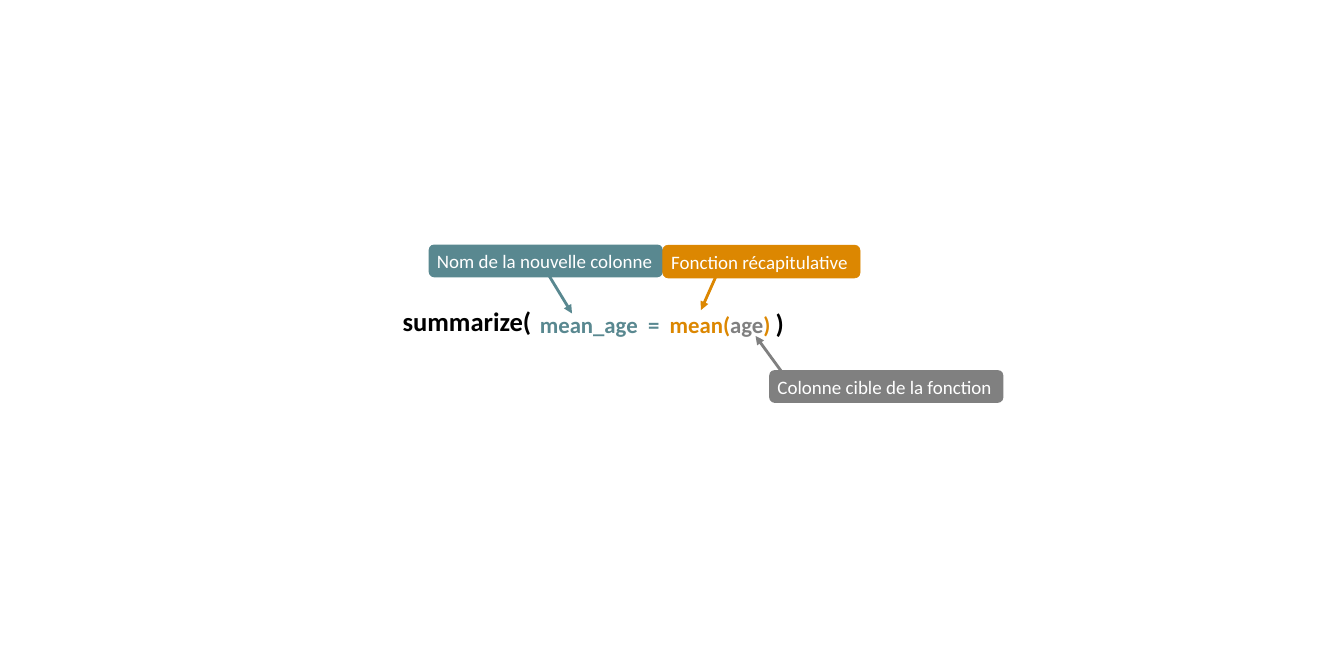
from lxml import etree
from pptx import Presentation
from pptx.dml.color import RGBColor
from pptx.enum.shapes import MSO_CONNECTOR, MSO_SHAPE
from pptx.enum.text import MSO_ANCHOR, MSO_AUTO_SIZE, PP_ALIGN
from pptx.oxml.ns import qn
from pptx.util import Pt

STRAIGHT = MSO_CONNECTOR.STRAIGHT
ROUNDED = MSO_SHAPE.ROUNDED_RECTANGLE
MIDDLE = MSO_ANCHOR.MIDDLE
LEFT = PP_ALIGN.LEFT
GROW = MSO_AUTO_SIZE.SHAPE_TO_FIT_TEXT

TEAL = RGBColor(0x59, 0x88, 0x90)
ORANGE = RGBColor(0xDC, 0x87, 0x01)
GREY = RGBColor(0x80, 0x80, 0x80)
BLACK = RGBColor(0, 0, 0)
WHITE = RGBColor(255, 255, 255)
FONT = "Calibri"
LABEL_HEIGHT = 34.56

# Arrows: start x, y, end x, y, colour
ARROWS = [
    (835.9, 407.5, 797, 354.2, GREY),
    (756.7, 288, 739.4, 326.9, ORANGE),
    (575.3, 284.4, 603.4, 330.5, TEAL),
]
# Code: left, top, width, height, wrap, line spacing, spans of (text, size, colour)
CODE = [
    (562.3, 303.1, 354.2, 52.6, True, 1.5, [
        ("mean_age  =  ", 24, TEAL),
        ("mean(", 24, ORANGE),
        ("age", 24, GREY),
        (") ", 24, ORANGE),
        (")", 28, BLACK),
    ]),
    (417.6, 313.9, 157.7, 43.2, False, 1.12, [("summarize(", 28, BLACK)]),
]
# Labels: left, top, width, text, colour, outline width
LABELS = [
    (452.2, 257.8, 247, "Nom de la nouvelle colonne", TEAL, 0),
    (699.1, 258.5, 208.1, "Fonction récapitulative", ORANGE, 0.75),
    (811.4, 390.2, 247, "Colonne cible de la fonction", GREY, 0),
]


def write_spans(shape, spans, wrap, bold=False, spacing=None):
    """Fill a shape with one paragraph of coloured spans."""
    frame = shape.text_frame
    frame.word_wrap = wrap
    frame.auto_size = GROW
    para = frame.paragraphs[0]
    para.alignment = LEFT
    para.line_spacing = spacing
    for text, size, colour in spans:
        span = para.add_run()
        span.text = text
        span.font.name = FONT
        span.font.size = Pt(size)
        span.font.bold = bold
        span.font.color.rgb = colour


def add_arrow(page, start_x, start_y, end_x, end_y, colour):
    arrow = page.shapes.add_connector(
        STRAIGHT, Pt(start_x), Pt(start_y), Pt(end_x), Pt(end_y))
    arrow.line.color.rgb = colour
    arrow.line.width = Pt(3)
    properties = arrow.line._get_or_add_ln()
    etree.SubElement(properties, qn("a:tailEnd"), type="triangle")
    etree.SubElement(properties.getparent(), qn("a:effectLst"))


def add_code(page, left, top, width, height, wrap, spacing, spans):
    box = page.shapes.add_textbox(Pt(left), Pt(top), Pt(width), Pt(height))
    write_spans(box, spans, wrap, bold=True, spacing=spacing)


def add_label(page, left, top, width, text, colour, outline):
    label = page.shapes.add_shape(
        ROUNDED, Pt(left), Pt(top), Pt(width), Pt(LABEL_HEIGHT))
    label.shadow.inherit = False
    label.fill.solid()
    label.fill.fore_color.rgb = colour
    if outline:
        label.line.color.rgb = colour
        label.line.width = Pt(outline)
    else:
        label.line.fill.background()
    label.text_frame.vertical_anchor = MIDDLE
    write_spans(label, [(text, 20, WHITE)], wrap=False)


def main():
    deck = Presentation()
    deck.slide_width, deck.slide_height = Pt(1417.68), Pt(708.48)
    page = deck.slides.add_slide(deck.slide_layouts[6])
    for add_part, parts in ((add_arrow, ARROWS), (add_code, CODE), (add_label, LABELS)):
        for part in parts:
            add_part(page, *part)
    deck.save("out.pptx")


if __name__ == "__main__":
    main()
